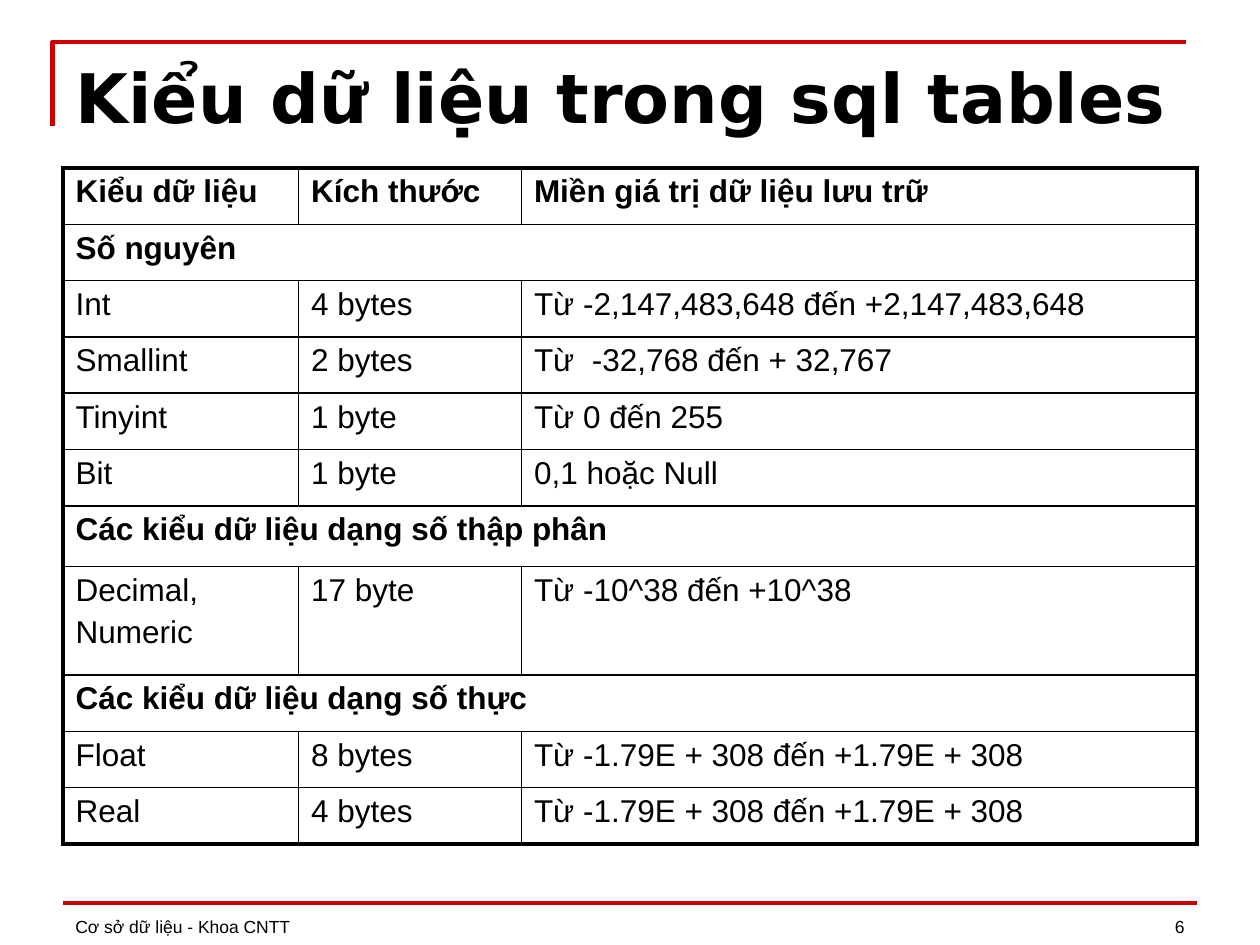
"""Build a slide with a table of SQL data types."""
from typing import NamedTuple

from lxml import etree
from pptx import Presentation
from pptx.dml.color import RGBColor
from pptx.enum import shapes, text
from pptx.oxml import ns
from pptx.util import Pt

RED, BLACK = "CC0000", "000000"
BODY_FONT, TITLE_FONT = "Arial", "DejaVu Sans"
THICK, THIN = 2.25, 1
COLUMN_WIDTHS = (134.6, 127.4, 386)
ROW_HEIGHT = 32.2


class Row(NamedTuple):
    cells: tuple[str, ...]
    bold: bool = False
    height: float = ROW_HEIGHT


class Footer(NamedTuple):
    wording: str
    left: float
    width: float
    alignment: text.PP_ALIGN


ROWS = (
    Row(("Kiểu dữ liệu", "Kích thước", "Miền giá trị dữ liệu lưu trữ"), bold=True),
    Row(("Số nguyên",), bold=True),
    Row(("Int", "4 bytes", "Từ -2,147,483,648 đến +2,147,483,648")),
    Row(("Smallint", "2 bytes", "Từ  -32,768 đến + 32,767")),
    Row(("Tinyint", "1 byte", "Từ 0 đến 255")),
    Row(("Bit", "1 byte", "0,1 hoặc Null")),
    Row(("Các kiểu dữ liệu dạng số thập phân",), bold=True, height=34.8),
    Row(("Decimal,\nNumeric", "17 byte", "Từ -10^38 đến +10^38"), height=61.9),
    Row(("Các kiểu dữ liệu dạng số thực",), bold=True),
    Row(("Float", "8 bytes", "Từ -1.79E + 308 đến +1.79E + 308")),
    Row(("Real", "4 bytes", "Từ -1.79E + 308 đến +1.79E + 308")),
)
FOOTERS = (
    Footer("Cơ sở dữ liệu - Khoa CNTT", 36, 438, text.PP_ALIGN.LEFT),
    Footer("6", 516, 168, text.PP_ALIGN.RIGHT),
)


def color(value: str) -> RGBColor:
    return RGBColor.from_string(value)


def style(paragraph, size: float, bold: bool = False, name: str = BODY_FONT) -> None:
    font = paragraph.font
    font.name, font.size, font.bold = name, Pt(size), bold
    font.color.rgb = color(BLACK)


def style_line(line, width: float) -> None:
    line.color.rgb = color(RED)
    line.width = Pt(width)


def add_rules(slide) -> None:
    builder = slide.shapes.build_freeform(Pt(30), Pt(72))
    builder.add_line_segments([(Pt(30), Pt(24)), (Pt(678), Pt(24))], close=False)
    corner = builder.convert_to_shape()
    corner.shadow.inherit = False
    corner.fill.background()
    style_line(corner.line, 2.5)
    footer_rule = slide.shapes.add_connector(
        shapes.MSO_CONNECTOR.STRAIGHT, Pt(36), Pt(516), Pt(684), Pt(516))
    etree.SubElement(footer_rule._element.spPr, ns.qn("a:effectLst"))
    style_line(footer_rule.line, 2)


def add_footer(slide, footer: Footer) -> None:
    box = slide.shapes.add_textbox(Pt(footer.left), Pt(503.3), Pt(footer.width), Pt(36))
    frame = box.text_frame
    frame.word_wrap = True
    frame.vertical_anchor = text.MSO_ANCHOR.BOTTOM
    frame.text = footer.wording
    paragraph = frame.paragraphs[0]
    paragraph.alignment = footer.alignment
    style(paragraph, 10)


def set_title(slide, wording: str) -> None:
    title = slide.shapes.title
    title.left, title.top, title.width, title.height = Pt(36), Pt(27), Pt(648), Pt(62)
    frame = title.text_frame
    frame.text = wording
    frame.vertical_anchor = text.MSO_ANCHOR.MIDDLE
    paragraph = frame.paragraphs[0]
    paragraph.alignment = text.PP_ALIGN.LEFT
    paragraph.line_spacing = 0.9
    style(paragraph, 39, True, TITLE_FONT)


def set_borders(cell, thick_sides: dict[str, bool]) -> None:
    properties = cell._tc.get_or_add_tcPr()
    for position, (side, thick) in enumerate(thick_sides.items()):
        width = str(Pt(THICK if thick else THIN))
        border = etree.Element(ns.qn(f"a:ln{side}"), w=width)
        fill = etree.SubElement(border, ns.qn("a:solidFill"))
        etree.SubElement(fill, ns.qn("a:srgbClr"), val=BLACK)
        properties.insert(position, border)


def fill_cell(cell, wording: str, bold: bool) -> None:
    cell.text = wording
    for index, paragraph in enumerate(cell.text_frame.paragraphs):
        paragraph.alignment = text.PP_ALIGN.JUSTIFY
        paragraph.space_before = Pt(3.6 if index else 0)
        style(paragraph, 18, bold)


def add_type_table(slide) -> None:
    last_row, last_column = len(ROWS) - 1, len(COLUMN_WIDTHS) - 1
    table = slide.shapes.add_table(
        len(ROWS), len(COLUMN_WIDTHS), Pt(36), Pt(96),
        Pt(sum(COLUMN_WIDTHS)), Pt(sum(row.height for row in ROWS))).table
    table.first_row = table.horz_banding = False
    for column, width in zip(table.columns, COLUMN_WIDTHS):
        column.width = Pt(width)
    for r, row in enumerate(ROWS):
        table.rows[r].height = Pt(row.height)
        spans = len(row.cells) == 1
        if spans:
            table.cell(r, 0).merge(table.cell(r, last_column))
        for c in range(len(COLUMN_WIDTHS)):
            cell = table.cell(r, c)
            cell.fill.background()
            set_borders(cell, {"L": c == 0, "R": spans or c == last_column,
                               "T": r == 0, "B": r == last_row})
        for c, wording in enumerate(row.cells):
            fill_cell(table.cell(r, c), wording, row.bold)


def main() -> None:
    presentation = Presentation()
    presentation.slide_width, presentation.slide_height = Pt(720), Pt(540)
    slide = presentation.slides.add_slide(presentation.slide_layouts[5])
    add_rules(slide)
    for footer in FOOTERS:
        add_footer(slide, footer)
    set_title(slide, "Kiểu dữ liệu trong sql tables")
    add_type_table(slide)
    presentation.save("out.pptx")


if __name__ == "__main__":
    main()
